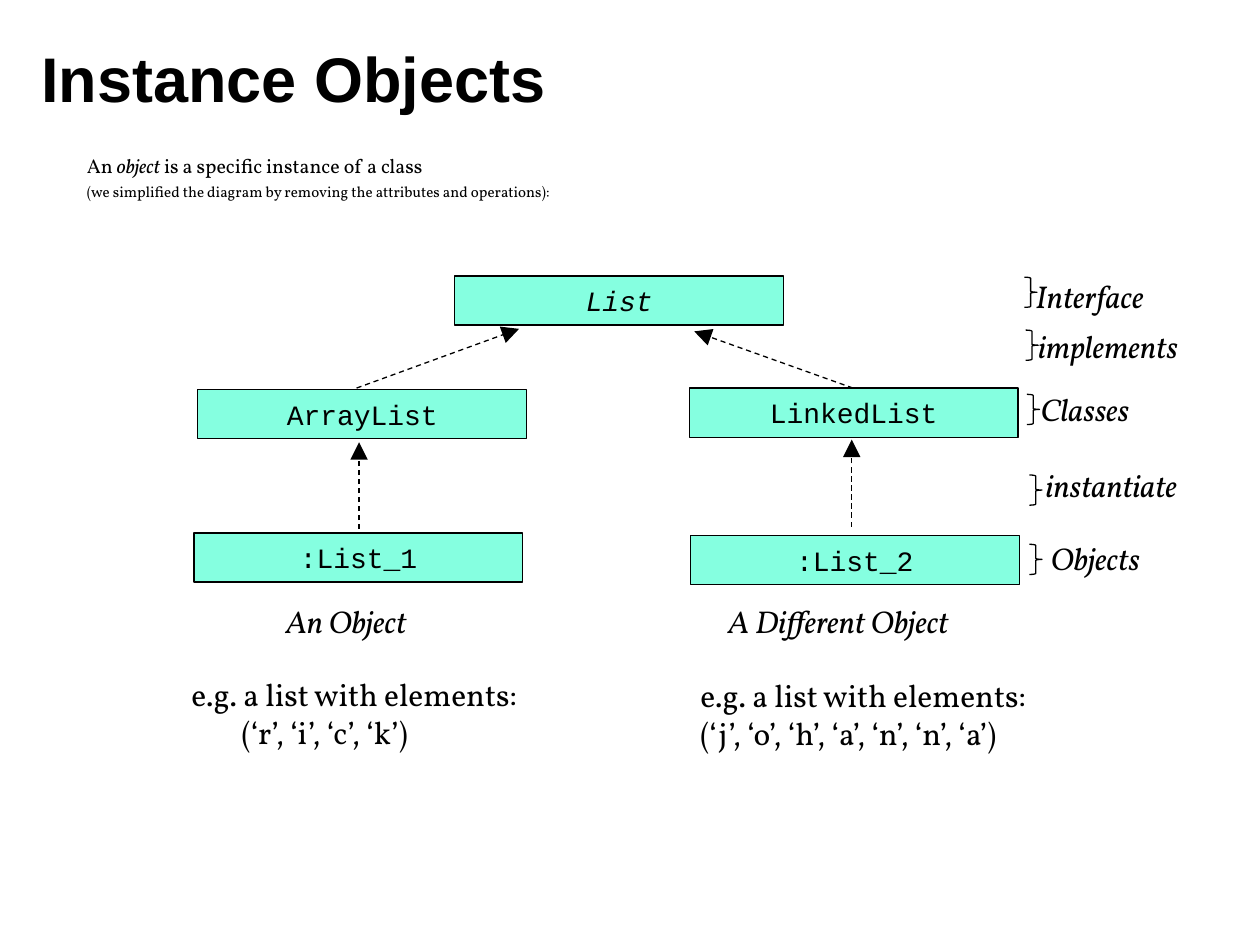
from dataclasses import dataclass

from lxml import etree
from pptx import Presentation
from pptx.dml.color import RGBColor
from pptx.enum.dml import MSO_LINE
from pptx.enum.shapes import MSO_CONNECTOR, MSO_SHAPE
from pptx.enum.text import MSO_ANCHOR, PP_ALIGN
from pptx.oxml.ns import qn
from pptx.util import Inches, Pt

RECT, BRACE = MSO_SHAPE.RECTANGLE, MSO_SHAPE.RIGHT_BRACE
STRAIGHT, DASH = MSO_CONNECTOR.STRAIGHT, MSO_LINE.DASH
TOP, MIDDLE = MSO_ANCHOR.TOP, MSO_ANCHOR.MIDDLE
LEFT, CENTER = PP_ALIGN.LEFT, PP_ALIGN.CENTER


@dataclass(frozen=True)
class Theme:
    ink: RGBColor = RGBColor(0x00, 0x00, 0x00)
    box_fill: RGBColor = RGBColor(0x85, 0xFF, 0xE0)
    heading: str = "Arial"
    body: str = "Vollkorn"
    code: str = "Courier New"
    title_size: float = 36
    label_size: float = 18
    code_size: float = 16
    intro_size: float = 11.4
    note_size: float = 8.6
    line_width: float = 0.75


def add_text(p, text, *, font, size, color, bold=False, italic=False):
    r = p.add_run()
    r.text = text
    r.font.name, r.font.size = font, Pt(size)
    r.font.bold, r.font.italic = bold, italic
    r.font.color.rgb = color


class DiagramSlide:
    def __init__(self, prs, theme):
        self.theme = theme
        self.s = prs.slides.add_slide(prs.slide_layouts[6])

    def run(self, p, text, **style):
        """Add a run in the label style unless told otherwise."""
        t = self.theme
        add_text(p, text, **{"font": t.body, "size": t.label_size, "color": t.ink, **style})

    def text(self, x, y, w, h, text="", anchor=TOP, **style):
        sp = self.s.shapes.add_textbox(Inches(x), Inches(y), Inches(w), Inches(h))
        tf = sp.text_frame
        tf.word_wrap = True
        tf.vertical_anchor = anchor
        if text:
            self.run(tf.paragraphs[0], text, **style)
        return tf

    def outline(self, line):
        line.color.rgb = self.theme.ink
        line.width = Pt(self.theme.line_width)

    def shape(self, kind, x, y, w, h):
        sp = self.s.shapes.add_shape(kind, Inches(x), Inches(y), Inches(w), Inches(h))
        sp.shadow.inherit = False
        sp.fill.background()
        self.outline(sp.line)
        return sp

    def box(self, x, y, name, italic=False):
        sp = self.shape(RECT, x, y, 2.61, 0.39)
        sp.fill.solid()
        sp.fill.fore_color.rgb = self.theme.box_fill
        tf = sp.text_frame
        tf.vertical_anchor = MIDDLE
        p = tf.paragraphs[0]
        p.alignment = CENTER
        self.run(p, name, font=self.theme.code, size=self.theme.code_size, italic=italic)

    def arrow(self, x1, y1, x2, y2):
        c = self.s.shapes.add_connector(STRAIGHT, Inches(x1), Inches(y1), Inches(x2), Inches(y2))
        self.outline(c.line)
        c.line.dash_style = DASH
        ln = c._element.spPr.find(qn("a:ln"))
        etree.SubElement(ln, qn("a:tailEnd"), type="triangle", w="lg", len="lg")
        etree.SubElement(c._element.spPr, qn("a:effectLst"))

    def level(self, name, brace_x, brace_y, x, y):
        """A brace and the name of the diagram level beside it."""
        self.text(x, y, 1.55, 0.4, name, italic=True)
        self.shape(BRACE, brace_x, brace_y, 0.1, 0.24)

    def example(self, x, y, elements, indent=0):
        tf = self.text(x, y, 3.04, 0.7, "e.g. a list with elements:")
        p = tf.add_paragraph()
        p.alignment = LEFT
        p._p.get_or_add_pPr().set("marL", str(Inches(indent)))
        self.run(p, elements)

    def intro(self):
        t = self.theme
        tf = self.text(0.59, 1.21, 9.08, 0.98)
        p = tf.paragraphs[0]
        for text, italic in (("An ", False), ("object", True),
                             (" is a specific instance of a class", False)):
            self.run(p, text, size=t.intro_size, italic=italic)
        note = tf.add_paragraph()
        note.space_before = Pt(4.5)
        self.run(note, "(we simplified the diagram by removing the attributes and operations):",
                 size=t.note_size)
        for p in tf.paragraphs:
            p.line_spacing = 0.8


def main():
    prs = Presentation()
    prs.slide_width, prs.slide_height = Inches(10), Inches(7.5)
    theme = Theme()
    slide = DiagramSlide(prs, theme)

    slide.text(0.23, 0.15, 8.03, 0.93, "Instance Objects", anchor=MIDDLE,
               font=theme.heading, size=theme.title_size, bold=True)
    slide.intro()

    slide.box(3.61, 2.19, "List", italic=True)
    for x, y, name in ((1.57, 3.09, "ArrayList"), (5.47, 3.08, "LinkedList"),
                       (1.54, 4.23, ":List_1"), (5.48, 4.25, ":List_2")):
        slide.box(x, y, name)

    for ends in ((2.85, 4.2, 2.85, 3.51), (6.76, 4.18, 6.76, 3.49),
                 (2.83, 3.08, 4.12, 2.61), (6.77, 3.08, 5.51, 2.63)):
        slide.arrow(*ends)

    slide.text(2.17, 4.73, 1.32, 0.4, "An Object", italic=True)
    slide.text(5.68, 4.73, 2.26, 0.4, "A Different Object", italic=True)
    slide.example(1.42, 5.31, "(‘r’, ‘i’, ‘c’, ‘k’)", indent=0.4)
    slide.example(5.46, 5.32, "(‘j’, ‘o’, ‘h’, ‘a’, ‘n’, ‘n’, ‘a’)")

    for level in (("Interface", 8.13, 2.2, 8.12, 2.15),
                  ("implements", 8.14, 2.62, 8.14, 2.55),
                  ("Classes", 8.15, 3.13, 8.16, 3.05),
                  ("instantiate", 8.17, 3.77, 8.2, 3.65),
                  ("Objects", 8.17, 4.32, 8.24, 4.23)):
        slide.level(*level)

    prs.save("out.pptx")


if __name__ == "__main__":
    main()
